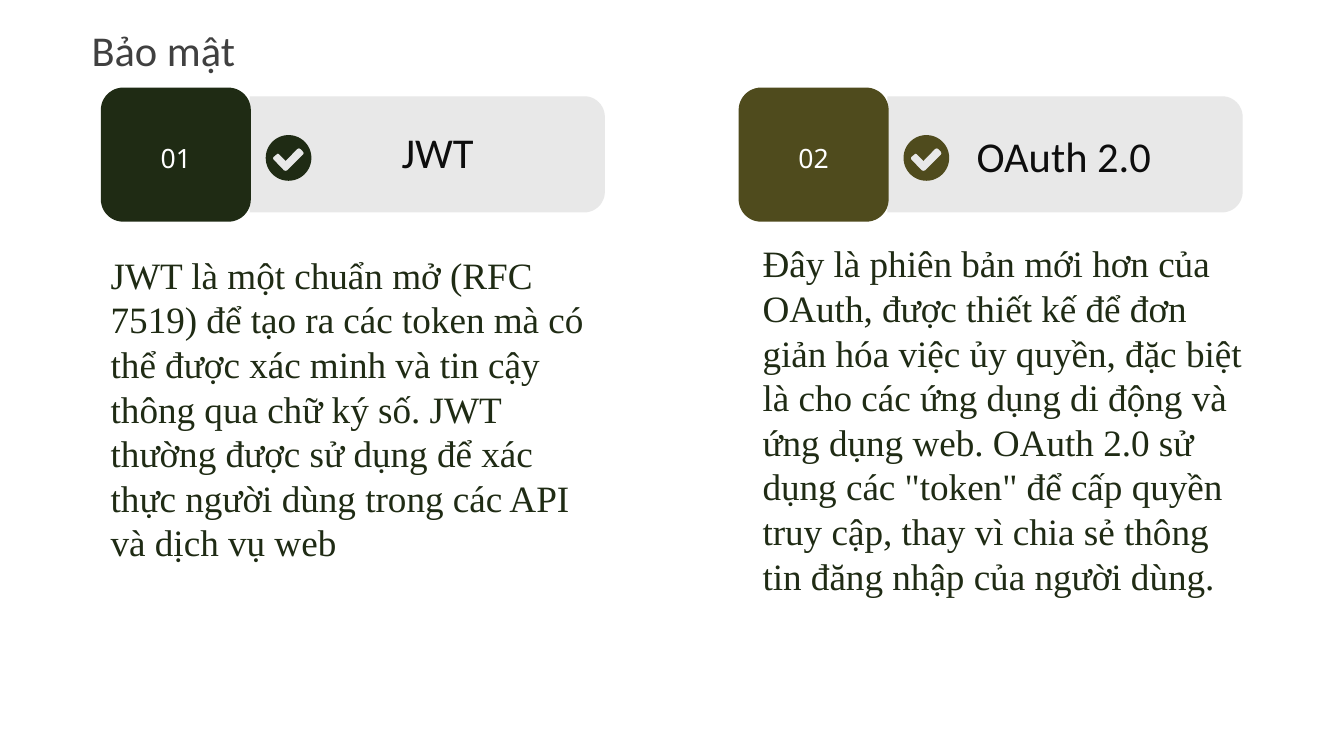
import math
from dataclasses import dataclass

import pptx
import pptx.util
import pptx.dml.color
import pptx.enum.shapes
import pptx.enum.text
import pptx.oxml.ns
from lxml import etree

Pt = pptx.util.Pt
RGB = pptx.dml.color.RGBColor.from_string
ALIGN = pptx.enum.text.PP_ALIGN
ANCHOR = pptx.enum.text.MSO_ANCHOR


@dataclass(frozen=True)
class Theme:
    green: str = "1F2B14"
    olive: str = "4F4B1D"
    bar: str = "E6E6E6"
    title: str = "404040"
    heading: str = "0D0D0D"
    white: str = "FFFFFF"
    title_size: int = 32
    body_size: int = 28
    number_size: int = 20


theme = Theme()


def write(sp, text, font, size, color, align=ALIGN.LEFT, anchor=ANCHOR.TOP, inset=0):
    tf = sp.text_frame
    tf.word_wrap = True
    tf.auto_size = pptx.enum.text.MSO_AUTO_SIZE.NONE
    tf.vertical_anchor = anchor
    tf.margin_left = tf.margin_right = Pt(inset)
    tf.margin_top = tf.margin_bottom = Pt(inset / 2)
    tf.text = text
    p = tf.paragraphs[0]
    p.alignment = align
    r = p.runs[0]
    r.font.name = font
    r.font.size = Pt(size)
    r.font.color.rgb = RGB(color)
    return p


def arc(cx, cy, radius, start, end, steps):
    """Points in EMU along a circle, with angles in degrees clockwise from the right."""
    angles = [math.radians(start + (end - start) * i / steps) for i in range(steps + 1)]
    return [(Pt(cx + radius * math.cos(a)), Pt(cy + radius * math.sin(a))) for a in angles]


prs = pptx.Presentation()
prs.slide_width, prs.slide_height = Pt(1012.5), Pt(569.5)
s = prs.slides.add_slide(prs.slide_layouts[5])

title = s.shapes.title
title.left, title.top, title.width, title.height = Pt(69), Pt(18), Pt(322), Pt(38)
write(title, "Bảo mật", "Calibri", theme.title_size, theme.title)

PITCH = 480.5
TILE_LEFT, TILE_TOP, TILE_W, TILE_H = 76, 66, 113, 101
BAR_LEFT, BAR_TOP, BAR_RIGHT, BAR_BOTTOM, BAR_RADIUS = 188, 72.5, 455.7, 160, 15.5
CHECK_X, CHECK_Y, CHECK_RADIUS = 217.4, 119, 17.2
CHECK_MARK = [(11, -4.7), (9, -6.8), (7.9, -7.2), (6.5, -6.8), (-2.2, 2.2), (-7.2, -2.9),
              (-8, -3.3), (-8.8, -2.9), (-11.4, -0.7), (-11.8, 0.4), (-11.2, 1.4),
              (-3.6, 9.3), (-2.2, 9.8), (-0.8, 9.3), (11, -2.5), (11.4, -3.5)]

# number, colour, heading, heading left and top, body left and top, body
cards = [
    ("01", theme.green, "JWT", 236.7, 95, 76.3, 168.5,
     "JWT là một chuẩn mở (RFC 7519) để tạo ra các token mà có thể được xác minh và tin cậy "
     "thông qua chữ ký số. JWT thường được sử dụng để xác thực người dùng trong các API "
     "và dịch vụ web"),
    ("02", theme.olive, "OAuth 2.0", 708.5, 98, 567.4, 176.7,
     "Đây là phiên bản mới hơn của OAuth, được thiết kế để đơn giản hóa việc ủy quyền, "
     "đặc biệt là cho các ứng dụng di động và ứng dụng web. OAuth 2.0 sử dụng các \"token\" "
     "để cấp quyền truy cập, thay vì chia sẻ thông tin đăng nhập của người dùng."),
]

for i, (number, color, heading, head_x, head_y, body_x, body_y, body) in enumerate(cards):
    dx = i * PITCH

    # Bar rounded on its right side only
    corner_x = BAR_RIGHT + dx - BAR_RADIUS
    outline = arc(corner_x, BAR_TOP + BAR_RADIUS, BAR_RADIUS, -90, 0, 12)
    outline += arc(corner_x, BAR_BOTTOM - BAR_RADIUS, BAR_RADIUS, 0, 90, 12)
    outline.append((Pt(BAR_LEFT + dx), Pt(BAR_BOTTOM)))
    fb = s.shapes.build_freeform(Pt(BAR_LEFT + dx), Pt(BAR_TOP))
    fb.add_line_segments(outline, close=True)
    bar = fb.convert_to_shape()

    # Disc with the check mark cut out
    cx = CHECK_X + dx
    disc = arc(cx, CHECK_Y, CHECK_RADIUS, 0, 360, 72)
    mark = [(Pt(cx + x), Pt(CHECK_Y + y)) for x, y in CHECK_MARK]
    fb = s.shapes.build_freeform(*disc[0])
    fb.add_line_segments(disc[1:-1], close=True)
    fb.move_to(*mark[0])
    fb.add_line_segments(mark[1:], close=True)
    check = fb.convert_to_shape()

    tile = s.shapes.add_shape(pptx.enum.shapes.MSO_SHAPE.ROUNDED_RECTANGLE,
                              Pt(TILE_LEFT + dx), Pt(TILE_TOP), Pt(TILE_W), Pt(TILE_H))

    for sp, fill in ((bar, theme.bar), (check, color), (tile, color)):
        sp.shadow.inherit = False
        sp.fill.solid()
        sp.fill.fore_color.rgb = RGB(fill)
        sp.line.fill.background()
    bar_color = bar.fill._xPr.find(".//" + pptx.oxml.ns.qn("a:srgbClr"))
    etree.SubElement(bar_color, pptx.oxml.ns.qn("a:alpha"), val="90000")

    p = write(tile, number, "Noto Sans", theme.number_size, theme.white,
              ALIGN.CENTER, ANCHOR.MIDDLE)
    p.line_spacing = 1.2

    box = s.shapes.add_textbox(Pt(head_x), Pt(head_y), Pt(186), Pt(57.5))
    write(box, heading, "Calibri", theme.title_size, theme.heading, ALIGN.CENTER)

    box = s.shapes.add_textbox(Pt(body_x), Pt(body_y), Pt(379.5), Pt(278))
    write(box, body, "Times New Roman", theme.body_size, theme.green,
          anchor=ANCHOR.MIDDLE, inset=7.2)

prs.save("out.pptx")
